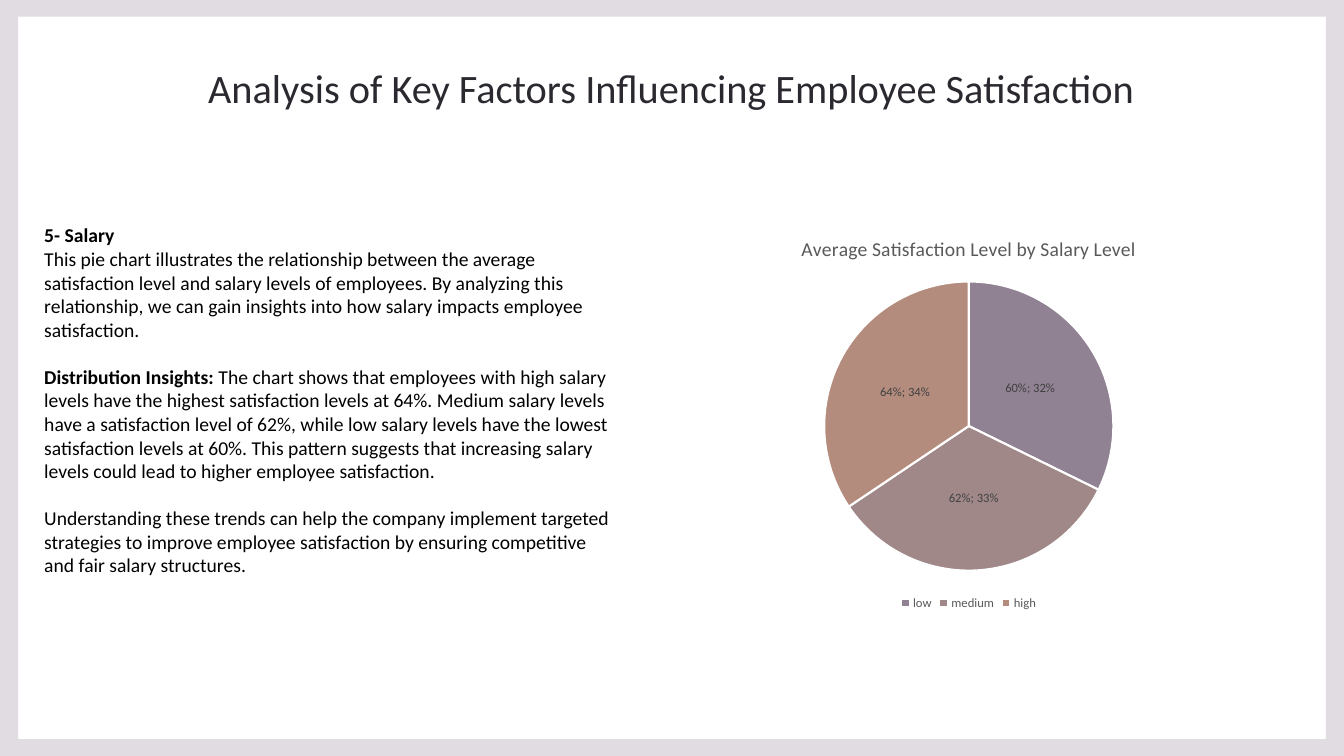
from dataclasses import dataclass

from pptx import Presentation
from pptx.chart.data import CategoryChartData
from pptx.dml.color import RGBColor
from pptx.enum.chart import XL_CHART_TYPE, XL_LABEL_POSITION, XL_LEGEND_POSITION
from pptx.enum.text import MSO_ANCHOR, MSO_AUTO_SIZE, PP_ALIGN
from pptx.util import Pt

FONT = "Calibri"
PAGE_WIDTH, PAGE_HEIGHT = 960, 540
FRAME_COLOR = RGBColor(0xE0, 0xDC, 0xE1)
TITLE_COLOR = RGBColor(0x2C, 0x28, 0x30)
BLACK = RGBColor(0, 0, 0)
WHITE = RGBColor(0xFF, 0xFF, 0xFF)
CAPTION_COLOR = RGBColor(0x59, 0x59, 0x59)
LABEL_COLOR = RGBColor(0x40, 0x40, 0x40)


@dataclass
class Passage:
    heading: str
    body: str
    space_before: float = 0


@dataclass
class SalaryLevel:
    name: str
    satisfaction: float
    color: RGBColor


PASSAGES = [
    Passage("5- Salary", ""),
    Passage("", "This pie chart illustrates the relationship between the average "
            "satisfaction level and salary levels of employees. By analyzing this "
            "relationship, we can gain insights into how salary impacts employee "
            "satisfaction."),
    Passage("Distribution Insights:",
            " The chart shows that employees with high salary levels have the "
            "highest satisfaction levels at 64%. Medium salary levels have a "
            "satisfaction level of 62%, while low salary levels have the lowest "
            "satisfaction levels at 60%. This pattern suggests that increasing "
            "salary levels could lead to higher employee satisfaction.", 17),
    Passage("", "Understanding these trends can help the company implement targeted "
            "strategies to improve employee satisfaction by ensuring competitive "
            "and fair salary structures.", 17),
]
SALARY_LEVELS = [
    SalaryLevel("low", 0.60, RGBColor(0x90, 0x81, 0x93)),
    SalaryLevel("medium", 0.62, RGBColor(0xA0, 0x88, 0x89)),
    SalaryLevel("high", 0.64, RGBColor(0xB4, 0x8C, 0x7E)),
]


def style_font(font, size: float, color: RGBColor, bold: bool = False) -> None:
    font.name = FONT
    font.size = Pt(size)
    font.bold = bold
    font.color.rgb = color


def add_span(para, text: str, size: float, color: RGBColor, bold: bool = False) -> None:
    span = para.add_run()
    span.text = text
    style_font(span.font, size, color, bold)


def add_frame(page) -> None:
    side, edge = 13, 12.25
    right, bottom = PAGE_WIDTH - side, PAGE_HEIGHT - edge
    builder = page.shapes.build_freeform(0, 0, scale=Pt(1))
    builder.add_line_segments(
        [(PAGE_WIDTH, 0), (PAGE_WIDTH, PAGE_HEIGHT), (0, PAGE_HEIGHT)])
    builder.move_to(side, edge)
    builder.add_line_segments([(side, bottom), (right, bottom), (right, edge)])
    frame = builder.convert_to_shape()
    frame.shadow.inherit = False
    frame.fill.solid()
    frame.fill.fore_color.rgb = FRAME_COLOR
    frame.line.fill.background()


def add_title(page) -> None:
    title = page.shapes.title
    title.left, title.top, title.width, title.height = Pt(97), Pt(57), Pt(765), Pt(36)
    text = title.text_frame
    text.word_wrap = True
    text.auto_size = MSO_AUTO_SIZE.NONE
    text.vertical_anchor = MSO_ANCHOR.BOTTOM
    text.margin_top, text.margin_bottom = Pt(0), Pt(13)
    para = text.paragraphs[0]
    para.alignment = PP_ALIGN.CENTER
    para.line_spacing = 1.1
    add_span(para, "Analysis of Key Factors Influencing Employee Satisfaction",
             28.8, TITLE_COLOR)


def add_passages(page, passages: list[Passage]) -> None:
    box = page.shapes.add_textbox(Pt(24.5), Pt(156), Pt(422), Pt(245))
    text = box.text_frame
    text.word_wrap = True
    for index, passage in enumerate(passages):
        para = text.add_paragraph() if index else text.paragraphs[0]
        if passage.space_before:
            para.space_before = Pt(passage.space_before)
        if passage.heading:
            add_span(para, passage.heading, 14, BLACK, bold=True)
        if passage.body:
            add_span(para, passage.body, 14, BLACK)


def add_salary_pie(page, levels: list[SalaryLevel]) -> None:
    data = CategoryChartData(number_format="0%")
    data.categories = [level.name for level in levels]
    data.add_series("Series 1", [level.satisfaction for level in levels])
    chart = page.shapes.add_chart(
        XL_CHART_TYPE.PIE, Pt(467), Pt(156), Pt(450), Pt(283), data).chart
    style_font(chart.font, 10, BLACK)

    # Chart title and legend
    chart.has_title = True
    add_span(chart.chart_title.text_frame.paragraphs[0],
             "Average Satisfaction Level by Salary Level", 14, CAPTION_COLOR)
    chart.chart_title.include_in_layout = False
    chart.has_legend = True
    chart.legend.position = XL_LEGEND_POSITION.BOTTOM
    chart.legend.include_in_layout = False
    style_font(chart.legend.font, 9, CAPTION_COLOR)

    # Slices and their labels
    plot = chart.plots[0]
    plot.vary_by_categories = True
    series = plot.series[0]
    for index, level in enumerate(levels):
        slice_format = series.points[index].format
        slice_format.fill.solid()
        slice_format.fill.fore_color.rgb = level.color
        slice_format.line.color.rgb = WHITE
        slice_format.line.width = Pt(1.5)
    labels = series.data_labels
    labels.show_value = True
    labels.show_percentage = True
    labels.number_format = "0%"
    labels.number_format_is_linked = False
    labels.position = XL_LABEL_POSITION.CENTER
    style_font(labels.font, 9, LABEL_COLOR)


def main() -> None:
    deck = Presentation()
    deck.slide_width, deck.slide_height = Pt(PAGE_WIDTH), Pt(PAGE_HEIGHT)
    page = deck.slides.add_slide(deck.slide_layouts.get_by_name("Title Only"))
    page.background.fill.solid()
    page.background.fill.fore_color.rgb = WHITE
    add_frame(page)
    add_title(page)
    add_passages(page, PASSAGES)
    add_salary_pie(page, SALARY_LEVELS)
    deck.save("out.pptx")


if __name__ == "__main__":
    main()
